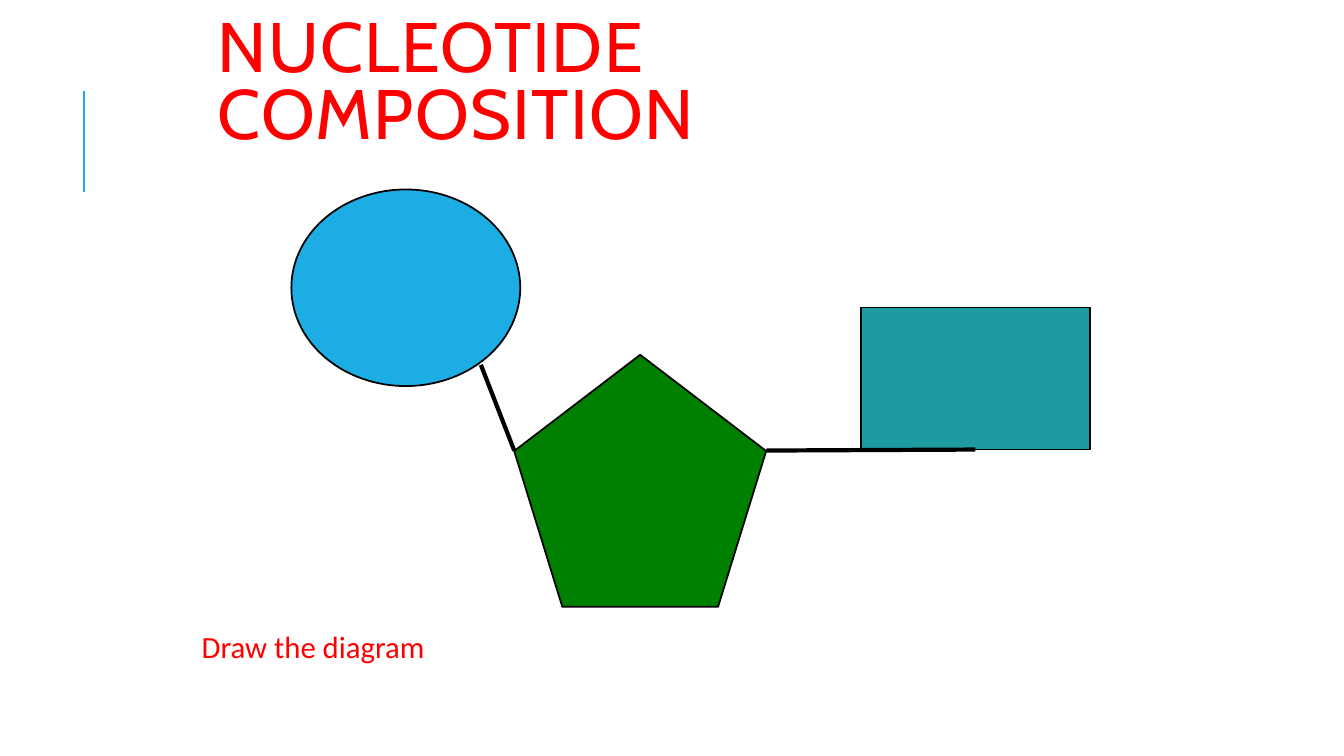
from pptx import Presentation
from pptx.dml.color import RGBColor
from pptx.enum.shapes import MSO_CONNECTOR, MSO_SHAPE
from pptx.enum.text import MSO_ANCHOR
from pptx.oxml.ns import qn
from pptx.util import Inches, Pt
from lxml import etree


def rgb(code):
    return RGBColor.from_string(code)


prs = Presentation()
prs.slide_width, prs.slide_height = Inches(13.33), Inches(7.5)
s = prs.slides.add_slide(prs.slide_layouts[6])

texts = [
    ("NUCLEOTIDE COMPOSITION", (2.06, 0.23, 9, 1.25), "Cabin", 50, 0.8, 0.1, MSO_ANCHOR.MIDDLE, 100),
    ("Draw the diagram", (1.95, 6.22, 9.22, 0.45), "Calibri", 22, 0.9, 0.05, MSO_ANCHOR.TOP, 0),
]
for text, box, font, size, spacing, inset, anchor, tracking in texts:
    tf = s.shapes.add_textbox(*map(Inches, box)).text_frame
    tf.word_wrap = True
    tf.vertical_anchor = anchor
    tf.margin_left = tf.margin_right = Inches(inset)
    tf.margin_top = tf.margin_bottom = Inches(0.05)
    tf.text = text
    p = tf.paragraphs[0]
    p.line_spacing = spacing
    r = p.runs[0]
    r.font.name, r.font.size = font, Pt(size)
    r.font.color.rgb = rgb("FF0000")
    r.font._element.set("spc", str(tracking))

parts = [
    ("phosphate", MSO_SHAPE.OVAL, (2.89, 1.88, 2.27, 1.95), "1CADE4"),
    ("sugar", MSO_SHAPE.REGULAR_PENTAGON, (5.1, 3.52, 2.5, 2.5), "008000"),
    ("base", MSO_SHAPE.RECTANGLE, (8.54, 3.05, 2.27, 1.41), "1D9BA1"),
]
shapes = {}
for name, kind, box, color in parts:
    sp = s.shapes.add_shape(kind, *map(Inches, box))
    sp.shadow.inherit = False
    sp.fill.solid()
    sp.fill.fore_color.rgb = rgb(color)
    sp.line.color.rgb = rgb("000000")
    sp.line.width = Pt(1.25)
    shapes[name] = sp

lines = [
    ((0.83, 1.9, 0.83, 0.9), "1CADE4", 1.5, None),
    ((4.77, 3.62, 5.1, 4.47), "000000", 3, None),
    ((7.6, 4.47, 9.68, 4.45), "000000", 3, "base"),
]
for ends, color, width, target in lines:
    c = s.shapes.add_connector(MSO_CONNECTOR.STRAIGHT, *map(Inches, ends))
    c.line.color.rgb = rgb(color)
    c.line.width = Pt(width)
    etree.SubElement(c._element.spPr, qn("a:effectLst"))
    if target:
        c.end_connect(shapes[target], 2)

prs.save("out.pptx")
